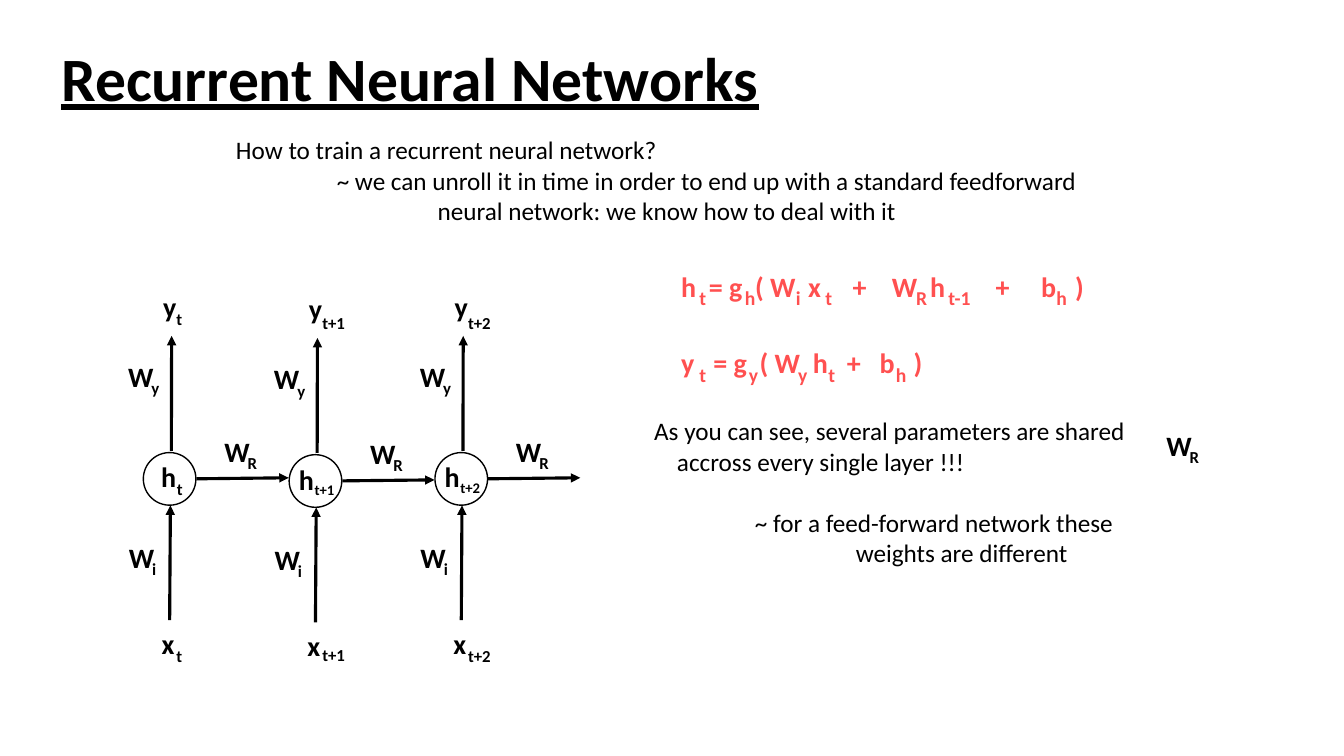
"""Build a slide that explains how a recurrent neural network is unrolled in time."""
from dataclasses import dataclass

from lxml import etree
from pptx import Presentation
from pptx import util as u
from pptx.dml import color
from pptx.enum import shapes, text as t
from pptx.oxml import ns

FONT = "Calibri"
BLACK, WHITE, RED = "000000", "FFFFFF", "FF5050"
COLUMN_STEP = 104.15
EQUATION_LEFT = 479.5
GLYPH_WIDTHS = {"x": 0.46, "h": 0.54, "W": 0.91, "y": 0.47, "t": 0.35, "i": 0.25,
                "R": 0.56, "+": 0.5, "1": 0.51, "2": 0.51, "-": 0.31, "b": 0.54,
                "g": 0.47, "=": 0.5, "(": 0.31, ")": 0.31, " ": 0.23}


@dataclass(frozen=True)
class Line:
    words: str
    indent: float = 0
    before: float = 0


@dataclass(frozen=True)
class Step:
    time: str
    drop: float
    node_left: float
    node_size: float
    input_fall: float
    output_fall: float


@dataclass(frozen=True)
class Equation:
    top: float
    terms: tuple[tuple[str, float], ...]
    subscripts: tuple[tuple[str, float], ...]


@dataclass(frozen=True)
class Arrow:
    x1: float
    y1: float
    x2: float
    y2: float


STEPS = [
    Step("t", 0, 108, 12, 13.7, 13.7),
    Step("t+1", 1.5, 102.2, 10.5, 12, 15.1),
    Step("t+2", 0, 102.2, 10.5, 13.7, 16.6),
]
ARROWS = [
    Arrow(121.2, 443, 121.7, 361),
    Arrow(122.4, 322, 122.6, 240),
    Arrow(140.4, 342, 206.2, 341.3),
]
WEIGHTS = [("i", 85, 382.5), ("R", 153.2, 306.5), ("y", 84.5, 253.3)]
EQUATIONS = [
    Equation(
        188.6,
        (("h", 0), ("= g", 19.8), ("( W", 52.8), ("x", 90.7), ("+", 122.5),
         ("W", 150.5), ("h", 177.7), ("+", 224.6), ("b", 257.1), (")", 281.4)),
        (("t", 13), ("h", 45.5), ("i", 82), ("t", 103),
         ("R", 167.8), ("t-1", 190.8), ("h", 267.9))),
    Equation(
        243.4,
        (("y", 0), ("= g", 23), ("( W", 56), ("h", 94), ("+", 118.3),
         ("b", 141.8), (")", 166.1)),
        (("t", 13), ("y", 48.3), ("y", 83.5), ("t", 105.1), ("h", 153.4))),
]
INTRO = [
    Line("How to train a recurrent neural network?"),
    Line("~ we can unroll it in time in order to end up with a standard feedforward", 72),
    Line("neural network: we know how to deal with it", 144),
]
REMARK = [
    Line("As you can see, several parameters are shared"),
    Line("accross every single layer !!!", 16.3),
    Line("~ for a feed-forward network these", 72, 22),
    Line("weights are different", 144),
]


def rgb(value: str) -> color.RGBColor:
    """Turn a hex string into a colour."""
    return color.RGBColor.from_string(value)


def write(para, words: str, *, size: float, ink: str = BLACK,
          bold: bool = False, underline: bool = False) -> None:
    """Add one formatted span to a paragraph."""
    span = para.add_run()
    span.text = words
    font = span.font
    font.name, font.size, font.bold = FONT, u.Pt(size), bold
    font.underline = underline
    font.color.rgb = rgb(ink)


def add_lines(page, lines: list[Line], left: float, top: float, width: float,
              height: float, **style) -> None:
    """Add a text box whose lines carry their own indents."""
    box = page.shapes.add_textbox(u.Pt(left), u.Pt(top), u.Pt(width), u.Pt(height))
    frame = box.text_frame
    frame.word_wrap = True
    for index, line in enumerate(lines):
        para = frame.add_paragraph() if index else frame.paragraphs[0]
        para.space_before = u.Pt(line.before)
        write(para, line.words, **style)
        properties = para._p.get_or_add_pPr()
        properties.set("marL", str(u.Pt(line.indent)))
        properties.set("indent", "0")


def add_label(page, words: str, left: float, top: float, *, size: float,
              ink: str = BLACK) -> None:
    """Add a bold label in a box that fits its letters."""
    width = 14.4 + size * sum(GLYPH_WIDTHS[letter] for letter in words)
    box = page.shapes.add_textbox(u.Pt(left), u.Pt(top), u.Pt(width),
                                  u.Pt(7.2 + 1.22 * size))
    frame = box.text_frame
    frame.word_wrap = False
    frame.auto_size = t.MSO_AUTO_SIZE.SHAPE_TO_FIT_TEXT
    write(frame.paragraphs[0], words, size=size, ink=ink, bold=True)


def add_symbol(page, base: str, subscript: str, left: float, top: float, *,
               shift: float, fall: float = 13.3, size: float = 12) -> None:
    """Add a letter with its subscript."""
    add_label(page, subscript, left + shift, top + fall, size=size)
    add_label(page, base, left, top, size=20)


def add_weight(page, subscript: str, left: float, top: float) -> None:
    """Add a weight symbol."""
    add_symbol(page, "W", subscript, left, top, shift=16.6)


def add_arrow(page, arrow: Arrow, across: float, down: float) -> None:
    """Add an arrow moved to its time step."""
    line = page.shapes.add_connector(
        shapes.MSO_CONNECTOR.STRAIGHT,
        u.Pt(arrow.x1 + across), u.Pt(arrow.y1 + down),
        u.Pt(arrow.x2 + across), u.Pt(arrow.y2 + down))
    line.line.color.rgb = rgb(BLACK)
    line.line.width = u.Pt(2.25)
    etree.SubElement(line.line._get_or_add_ln(), ns.qn("a:tailEnd"), type="triangle")
    etree.SubElement(line._element.spPr, ns.qn("a:effectLst"))


def add_step(page, step: Step, across: float) -> None:
    """Draw one time step of the unrolled network."""
    down = step.drop
    node = page.shapes.add_shape(shapes.MSO_SHAPE.OVAL, u.Pt(102.4 + across),
                                 u.Pt(323.3 + down), u.Pt(37.6), u.Pt(37.6))
    node.shadow.inherit = False
    node.fill.solid()
    node.fill.fore_color.rgb = rgb(WHITE)
    node.line.color.rgb = rgb(BLACK)
    node.line.width = u.Pt(1)
    for arrow in ARROWS:
        add_arrow(page, arrow, across, down)
    for subscript, left, top in WEIGHTS:
        add_weight(page, subscript, left + across, top + down)
    add_symbol(page, "x", step.time, 108.4 + across, 443.7 + down,
               shift=10.6, fall=step.input_fall)
    add_symbol(page, "h", step.time, step.node_left + across, 325 + down,
               shift=11.3, size=step.node_size)
    add_symbol(page, "y", step.time, 109.4 + across, 203 + down,
               shift=9.6, fall=step.output_fall)


def add_equation(page, equation: Equation) -> None:
    """Set the terms of an equation and their subscripts."""
    for words, offset in equation.terms:
        add_label(page, words, EQUATION_LEFT + offset, equation.top, size=20, ink=RED)
    for words, offset in equation.subscripts:
        add_label(page, words, EQUATION_LEFT + offset, equation.top + 12.4,
                  size=14, ink=RED)


def add_title(page, words: str) -> None:
    """Fill and place the title placeholder."""
    title = page.shapes.title
    title.left, title.top = u.Pt(36.7), u.Pt(5.8)
    title.width, title.height = u.Pt(828), u.Pt(104.4)
    frame = title.text_frame
    frame.auto_size = t.MSO_AUTO_SIZE.NONE
    frame.vertical_anchor = t.MSO_ANCHOR.MIDDLE
    para = frame.paragraphs[0]
    para.alignment = t.PP_ALIGN.LEFT
    para.line_spacing = 0.9
    write(para, words, size=44, bold=True, underline=True)


def main() -> None:
    """Build and save the deck."""
    deck = Presentation()
    deck.slide_width, deck.slide_height = u.Pt(960), u.Pt(540)
    page = deck.slides.add_slide(deck.slide_layouts.get_by_name("Title Only"))
    add_title(page, "Recurrent Neural Networks")
    add_lines(page, INTRO, 161.5, 92.6, 623, 72.7, size=18)
    for index, step in enumerate(STEPS):
        add_step(page, step, index * COLUMN_STEP)
    for equation in EQUATIONS:
        add_equation(page, equation)
    add_lines(page, REMARK, 460.2, 293.4, 354, 160, size=18)
    add_weight(page, "R", 826, 302.4)
    deck.save("out.pptx")


if __name__ == "__main__":
    main()
